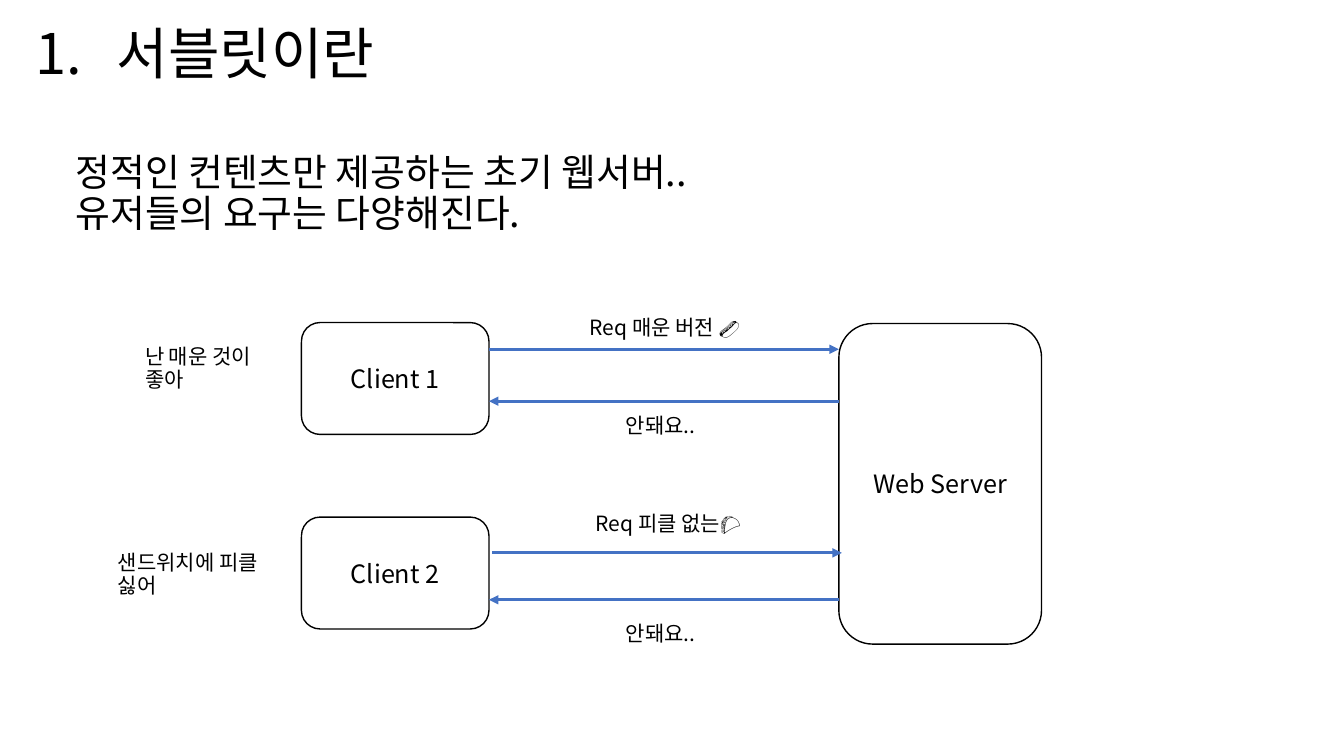
"""Build the slide that introduces servlets with a client and server diagram."""
from dataclasses import dataclass

import pptx
import pptx.dml.color
import pptx.enum.shapes
import pptx.enum.text
import pptx.oxml
import pptx.oxml.ns
import pptx.util

Inches = pptx.util.Inches
Anchor = pptx.enum.text.MSO_ANCHOR
Align = pptx.enum.text.PP_ALIGN


@dataclass(frozen=True)
class Theme:
    font: str = "Noto Sans CJK KR"
    ink: str = "000000"
    accent: str = "4472C4"
    title: float = 40
    lead: float = 27
    node: float = 18
    note: float = 15
    outline: float = 1
    arrow: float = 2.25


@dataclass(frozen=True)
class Label:
    text: str
    left: float
    top: float
    width: float
    height: float
    size: float
    anchor: Anchor = Anchor.BOTTOM


@dataclass(frozen=True)
class Node:
    text: str
    left: float
    top: float
    width: float
    height: float


@dataclass(frozen=True)
class Message:
    start: float
    end: float
    y: float


THEME = Theme()
CLIENT_LEFT, CLIENT_WIDTH, CLIENT_HEIGHT = 2.99, 1.86, 1.11
CLIENT_EDGE = CLIENT_LEFT + CLIENT_WIDTH
SERVER_LEFT = 8.32

HEADING = Label("서블릿이란", 0.25, 0.21, 10, 1.81, THEME.title, Anchor.TOP)
LABELS = [
    Label("정적인 컨텐츠만 제공하는 초기 웹서버..\v유저들의 요구는 다양해진다.",
          0.65, 1.4, 10, 0.99, THEME.lead),
    Label("Req 매운 버전 🌭", 5.75, 2.96, 1.71, 0.46, THEME.note),
    Label("안돼요..", 6.11, 3.99, 0.99, 0.41, THEME.note),
    Label("Req 피클 없는🌮", 5.81, 4.93, 1.72, 0.44, THEME.note),
    Label("안돼요..", 6.11, 6.07, 0.93, 0.39, THEME.note),
    Label("난 매운 것이 좋아", 1.34, 3.42, 1.67, 0.52, THEME.note),
    Label("샌드위치에 피클 싫어", 1.07, 5.35, 1.86, 0.63, THEME.note),
]
NODES = [
    Node("Web Server", SERVER_LEFT, 3.21, 2.01, 3.18),
    Node("Client 1", CLIENT_LEFT, 3.2, CLIENT_WIDTH, CLIENT_HEIGHT),
    Node("Client 2", CLIENT_LEFT, 5.13, CLIENT_WIDTH, CLIENT_HEIGHT),
]
MESSAGES = [
    Message(CLIENT_EDGE, SERVER_LEFT, 3.465),
    Message(SERVER_LEFT, CLIENT_EDGE, 3.98),
    Message(CLIENT_EDGE + 0.03, SERVER_LEFT + 0.03, 5.485),
    Message(SERVER_LEFT, CLIENT_EDGE, 5.95),
]


def apply(target: object, values: dict[str, object]) -> None:
    for attribute, value in values.items():
        setattr(target, attribute, value)


def rgb(value: str) -> pptx.dml.color.RGBColor:
    return pptx.dml.color.RGBColor.from_string(value)


def add_child(parent, tag: str, **attributes: str):
    child = pptx.oxml.ns.qn(tag)
    element = parent.makeelement(child, attributes)
    parent.append(element)
    return element


def write(frame, text: str, size: float, anchor: Anchor, layout: dict[str, object]):
    apply(frame, {"word_wrap": True, "vertical_anchor": anchor})
    paragraph = frame.paragraphs[0]
    paragraph.text = text
    apply(paragraph, layout)
    for run in paragraph.runs:
        apply(run.font, {"size": pptx.util.Pt(size), "name": THEME.font})
        run.font.color.rgb = rgb(THEME.ink)
        for script in ("a:ea", "a:cs"):
            add_child(run.font._element, script, typeface=THEME.font)
    return paragraph


def draw_label(slide, label: Label):
    box = slide.shapes.add_textbox(
        Inches(label.left), Inches(label.top), Inches(label.width), Inches(label.height))
    return write(box.text_frame, label.text, label.size, label.anchor, {"line_spacing": 0.9})


def draw_heading(slide, heading: Label) -> None:
    paragraph = draw_label(slide, heading)
    paragraph.space_before = pptx.util.Pt(10)
    properties = paragraph._p.get_or_add_pPr()
    indent = Inches(0.81)
    for key, value in {"marL": indent, "indent": -indent}.items():
        properties.set(key, str(int(value)))
    add_child(properties, "a:buFont", typeface=THEME.font)
    add_child(properties, "a:buAutoNum", type="arabicPeriod")


def draw_node(slide, node: Node) -> None:
    box = slide.shapes.add_shape(
        pptx.enum.shapes.MSO_SHAPE.ROUNDED_RECTANGLE,
        Inches(node.left), Inches(node.top), Inches(node.width), Inches(node.height))
    box.shadow.inherit = False
    box.fill.background()
    box.line.color.rgb = rgb(THEME.ink)
    box.line.width = pptx.util.Pt(THEME.outline)
    write(box.text_frame, node.text, THEME.node, Anchor.MIDDLE, {"alignment": Align.CENTER})


def draw_message(slide, message: Message) -> None:
    arrow = slide.shapes.add_connector(
        pptx.enum.shapes.MSO_CONNECTOR.STRAIGHT,
        Inches(message.start), Inches(message.y), Inches(message.end), Inches(message.y))
    arrow.line.color.rgb = rgb(THEME.accent)
    arrow.line.width = pptx.util.Pt(THEME.arrow)
    add_child(arrow.line._get_or_add_ln(), "a:tailEnd", type="triangle")
    add_child(arrow._element.spPr, "a:effectLst")


def main() -> None:
    deck = pptx.Presentation()
    apply(deck, {"slide_width": Inches(13.33), "slide_height": Inches(7.5)})
    slide = deck.slides.add_slide(deck.slide_layouts[6])
    draw_heading(slide, HEADING)
    for node in NODES:
        draw_node(slide, node)
    for message in MESSAGES:
        draw_message(slide, message)
    for label in LABELS:
        draw_label(slide, label)
    deck.save("out.pptx")


if __name__ == "__main__":
    main()
